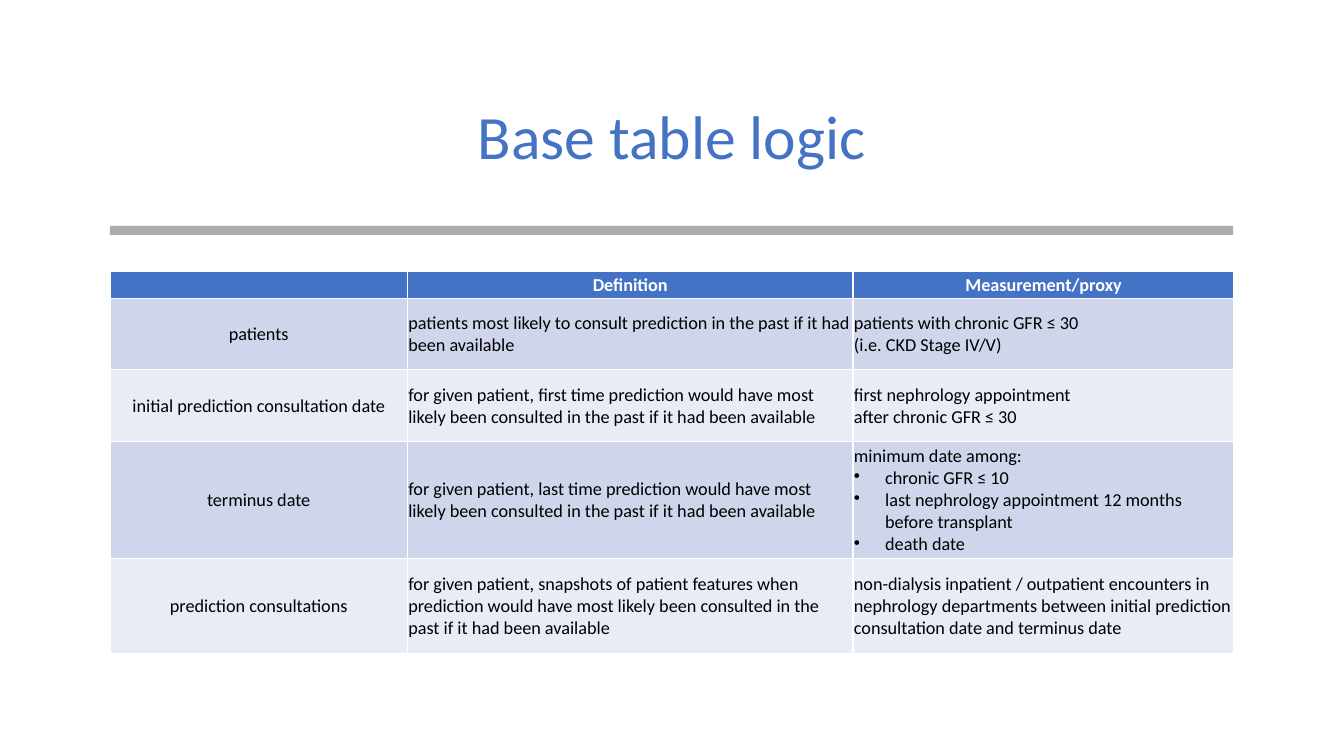
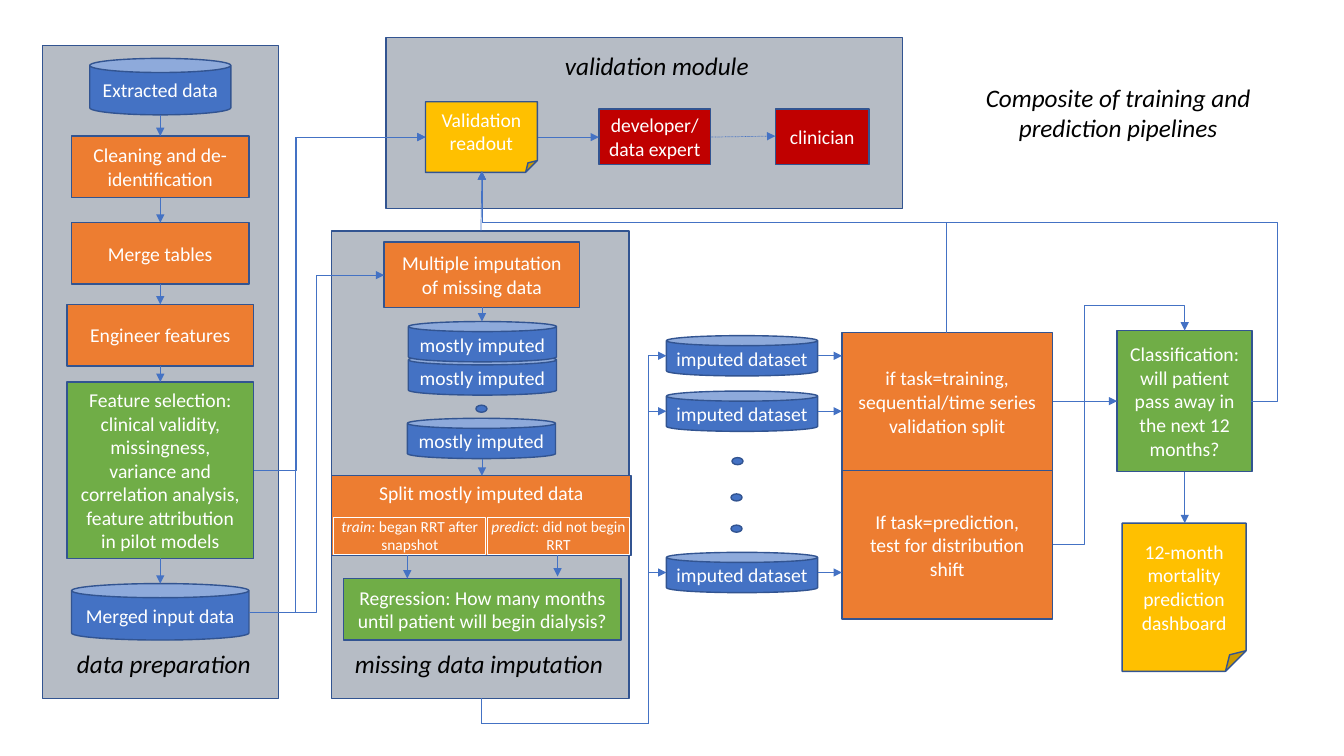
"""Build a two-slide deck on the base table and the pipelines of a dialysis model."""
from dataclasses import dataclass
from itertools import pairwise

from lxml import etree
from pptx import Presentation
from pptx import util as u
from pptx.dml import color
from pptx.enum import dml, shapes, text
from pptx.oxml import ns

SHAPE = shapes.MSO_SHAPE
CENTER, LEFT = text.PP_ALIGN.CENTER, text.PP_ALIGN.LEFT
TOP, MIDDLE = text.MSO_ANCHOR.TOP, text.MSO_ANCHOR.MIDDLE


@dataclass(frozen=True)
class Theme:
    font: str = "Calibri"
    blue: str = "4472C4"
    edge: str = "325491"
    orange: str = "ED7D31"
    green: str = "70AD47"
    gold: str = "FFC000"
    red: str = "C00000"
    slate: str = "44546A"
    gray: str = "808080"
    white: str = "FFFFFF"
    black: str = "000000"
    bands: tuple = ("CFD5EA", "E9EBF5")
    title: int = 44
    label: int = 18
    node: int = 14
    cell: int = 13
    small: int = 11


def rgb(value):
    return color.RGBColor.from_string(value)


def sub(parent, tag, **attrs):
    return etree.SubElement(parent, ns.qn(tag), attrs)


class Deck:
    def __init__(self, theme):
        self.t = theme
        self.prs = Presentation()
        self.prs.slide_width, self.prs.slide_height = u.Inches(13.33), u.Inches(7.5)
        self.s = None

    def style(self, tf, size, ink, align=CENTER, anchor=MIDDLE, bold=False, italic=None):
        tf.word_wrap = True
        tf.vertical_anchor = anchor
        for p in tf.paragraphs:
            p.alignment = align
            for font in (p.font, *(r.font for r in p.runs)):
                font.name, font.size, font.bold = self.t.font, u.Pt(size), bold
                font.color.rgb = rgb(ink)
                if italic is not None:
                    font.italic = italic
            if not p.runs:
                p._p.get_or_add_endParaRPr().set("sz", str(size * 100))

    def slide(self, title, at, size, ink, italic=False):
        self.s = self.prs.slides.add_slide(self.prs.slide_layouts[5])
        sp = self.s.shapes.title
        sp.left, sp.top, sp.width, sp.height = map(u.Inches, at)
        tf = sp.text_frame
        tf.text = title
        tf.auto_size = text.MSO_AUTO_SIZE.NONE
        self.style(tf, size, ink, italic=italic)
        return tf.paragraphs[0]

    def shape(self, kind, at, fill=None, line=None, width=1, alpha=None):
        sp = self.s.shapes.add_shape(kind, *map(u.Inches, at))
        sp.shadow.inherit = False
        if fill:
            sp.fill.solid()
            sp.fill.fore_color.rgb = rgb(fill)
        else:
            sp.fill.background()
        if line:
            sp.line.color.rgb = rgb(line)
            sp.line.width = u.Pt(width)
        else:
            sp.line.fill.background()
        if alpha:
            clr = sp._element.spPr.xpath("./a:solidFill/a:srgbClr")[0]
            sub(clr, "a:alpha", val=str(alpha * 1000))
        return sp

    def panel(self, at):
        self.shape(SHAPE.RECTANGLE, at, self.t.slate, self.t.edge, alpha=39)

    def node(self, words, at, fill, kind=SHAPE.RECTANGLE, anchor=MIDDLE):
        sp = self.shape(kind, at, fill, self.t.edge)
        sp.text_frame.text = words
        self.style(sp.text_frame, self.t.node, self.t.white, anchor=anchor)

    def can(self, words, at):
        self.node(words, at, self.t.blue, SHAPE.CAN)

    def dot(self, x, y):
        self.shape(SHAPE.OVAL, (x, y, 0.11, 0.07), self.t.blue, self.t.edge)

    def branch(self, term, rest, at):
        tf = self.shape(SHAPE.RECTANGLE, at, line=self.t.white, width=0.75).text_frame
        tf.margin_left = tf.margin_right = tf.margin_top = tf.margin_bottom = 0
        p = tf.paragraphs[0]
        for part, italic in ((term, True), (rest, False)):
            r = p.add_run()
            r.text, r.font.italic = part, italic
        self.style(tf, self.t.small, self.t.white, anchor=TOP)

    def label(self, words, at):
        tf = self.s.shapes.add_textbox(*map(u.Inches, at)).text_frame
        tf.text = words
        self.style(tf, self.t.label, self.t.black, anchor=TOP, italic=True)

    def arrow(self, start, end, kind=shapes.MSO_CONNECTOR.STRAIGHT, dash=None):
        c = self.s.shapes.add_connector(kind, *map(u.Inches, (*start, *end)))
        c.line.color.rgb = rgb(self.t.blue)
        c.line.width = u.Pt(0.5)
        if dash:
            c.line.dash_style = dash
        sub(c.line._get_or_add_ln(), "a:tailEnd", type="triangle")
        sub(c._element.spPr, "a:effectLst")
        return c

    def elbow(self, start, end, *bends, vertical=False):
        (x1, y1), (x2, y2) = start, end
        axes = [(x1, x2), (y1, y2)]
        if vertical:
            axes.reverse()
            cx, cy, w, h = (x1 + x2) / 2, (y1 + y2) / 2, y2 - y1, x1 - x2
            start, end = (cx - w / 2, cy - h / 2), (cx + w / 2, cy + h / 2)
        c = self.arrow(start, end, shapes.MSO_CONNECTOR.ELBOW)
        spPr = c._element.spPr
        if vertical:
            spPr.find(ns.qn("a:xfrm")).set("rot", "5400000")
        geom = spPr.find(ns.qn("a:prstGeom"))
        geom.set("prst", f"bentConnector{len(bends) + 2}")
        guides = geom.find(ns.qn("a:avLst"))
        if guides is None:
            guides = sub(geom, "a:avLst")
        for i, (bend, (a, b)) in enumerate(zip(bends, axes), 1):
            share = round((bend - a) / (b - a) * 100000)
            sub(guides, "a:gd", name=f"adj{i}", fmla=f"val {share}")

    def table(self, at, widths, heights, rows):
        frame = self.s.shapes.add_table(len(rows), len(widths), *map(u.Inches, at))
        tbl = frame.table
        for col, w in zip(tbl.columns, widths):
            col.width = u.Inches(w)
        for i, (row, h, words) in enumerate(zip(tbl.rows, heights, rows)):
            row.height = u.Inches(h)
            head = i == 0
            for j, cell in enumerate(row.cells):
                cell.fill.solid()
                cell.fill.fore_color.rgb = rgb(self.t.blue if head else self.t.bands[(i - 1) % 2])
                cell.margin_left = cell.margin_right = cell.margin_top = u.Inches(0.01)
                cell.margin_bottom = 0
                cell.vertical_anchor = MIDDLE
                self.fill_cell(cell.text_frame, words[j], head, CENTER if head or j == 0 else LEFT)

    def fill_cell(self, tf, words, head, align):
        lines = words.split("\n")
        tf.text = "\n".join(line.removeprefix("• ") for line in lines)
        ink = self.t.white if head else self.t.black
        self.style(tf, self.t.cell, ink, align, None, bold=head)
        for p, line in zip(tf.paragraphs, lines):
            if line.startswith("• "):
                pPr = p._p.get_or_add_pPr()
                indent = u.Inches(0.31)
                pPr.set("marL", str(indent))
                pPr.set("indent", str(-indent))
                bullet = etree.Element(ns.qn("a:buChar"), {"char": "•"})
                pPr.insert(0, bullet)


def base_table(d):
    t = d.t
    p = d.slide("Base table logic", (0.95, 0.66, 11.43, 1.45), t.title, t.blue)
    p.line_spacing = 0.9
    d.shape(SHAPE.RECTANGLE, (1.09, 2.24, 11.14, 0.09), t.gray, alpha=65)
    d.table((1.09, 2.69, 11.14, 3.79), (2.95, 4.42, 3.78), (0.27, 0.71, 0.71, 1.16, 0.94), [
        ("", "Definition", "Measurement/proxy"),
        ("patients",
         "patients most likely to consult prediction in the past if it had been available",
         "patients with chronic GFR ≤ 30\n(i.e. CKD Stage IV/V)"),
        ("initial prediction consultation date",
         "for given patient, first time prediction would have most likely been consulted "
         "in the past if it had been available",
         "first nephrology appointment\nafter chronic GFR ≤ 30"),
        ("terminus date",
         "for given patient, last time prediction would have most likely been consulted "
         "in the past if it had been available",
         "minimum date among:\n• chronic GFR ≤ 10\n"
         "• last nephrology appointment 12 months before transplant\n• death date"),
        ("prediction consultations",
         "for given patient, snapshots of patient features when prediction would have "
         "most likely been consulted in the past if it had been available",
         "non-dialysis inpatient / outpatient encounters in nephrology departments "
         "between initial prediction consultation date and terminus date"),
    ])


def preparation(d):
    t = d.t
    steps = [
        ("Extracted data", 0.58, 0.56, 1.4, t.blue, SHAPE.CAN),
        ("Cleaning and de-identification", 1.35, 0.61, 1.76, t.orange, SHAPE.RECTANGLE),
        ("Merge tables", 2.21, 0.61, 1.76, t.orange, SHAPE.RECTANGLE),
        ("Engineer features", 3.02, 0.61, 1.85, t.orange, SHAPE.RECTANGLE),
        ("Feature selection:\nclinical validity, missingness, variance and correlation "
         "analysis,\nfeature attribution in pilot models",
         3.79, 1.75, 1.85, t.green, SHAPE.RECTANGLE),
        ("Merged input data", 5.79, 0.56, 1.76, t.blue, SHAPE.CAN),
    ]
    axis = 1.59
    for words, y, h, w, fill, kind in steps:
        d.node(words, (axis - w / 2, y, w, h), fill, kind)
    for (_, y, h, *_), (_, below, *_) in pairwise(steps):
        d.arrow((axis, y + h), (axis, below))
    d.label("data preparation", (0.63, 6.38, 1.99, 0.4))


def imputation(d):
    t = d.t
    d.node("Multiple imputation of missing data", (3.81, 2.4, 1.94, 0.65), t.orange)
    for x, y in ((4.04, 4.15), (4.05, 3.52), (4.05, 3.19)):
        d.can("mostly imputed", (x, y, 1.47, 0.4))
    d.dot(4.72, 4.02)
    d.node("Split mostly imputed data", (3.29, 4.72, 2.97, 0.79), t.orange, anchor=TOP)
    d.branch("predict", ": did not begin RRT", (4.84, 5.13, 1.4, 0.37))
    d.branch("train", ": began RRT after snapshot", (3.31, 5.13, 1.51, 0.37))
    d.node("Regression: How many months until patient will begin dialysis?",
           (3.41, 5.74, 2.75, 0.61), t.green)
    for x, top, bottom in ((4.78, 3.05, 3.19), (4.78, 4.55, 4.72),
                           (4.04, 5.51, 5.74), (5.53, 5.51, 5.72)):
        d.arrow((x, top), (x, bottom))
    d.label("missing data imputation", (3.39, 6.38, 2.72, 0.4))


def validation(d):
    t = d.t
    d.label("validation module", (5.5, 0.45, 2.03, 0.4))
    d.node("Validation readout", (4.22, 1.01, 1.11, 0.7), t.gold, SHAPE.FOLDED_CORNER)
    d.node("developer/data expert", (5.94, 1.08, 1.11, 0.55), t.red)
    d.node("clinician", (7.69, 1.08, 0.93, 0.55), t.red)
    d.arrow((5.34, 1.36), (5.94, 1.36))
    d.arrow((7.05, 1.36), (7.69, 1.35), dash=dml.MSO_LINE.ROUND_DOT)


def prediction(d):
    t = d.t
    for x, y in ((7.26, 4.54), (7.25, 4.9), (7.25, 5.21)):
        d.dot(x, y)
    d.node("if task=training,\nsequential/time series validation split",
           (8.35, 3.3, 2.09, 1.37), t.orange)
    d.node("If task=prediction,\ntest for distribution shift", (8.35, 4.67, 2.09, 1.47), t.orange)
    d.node("Classification: will patient pass away in the next 12 months?",
           (11.08, 3.28, 1.34, 1.4), t.green)
    d.node("12-month mortality prediction dashboard", (11.13, 5.19, 1.23, 1.47),
           t.gold, SHAPE.FOLDED_CORNER)
    for y in (3.53, 4.08, 5.68):
        d.can("imputed dataset", (6.61, y - 0.2, 1.5, 0.4))
        d.arrow((8.11, y), (8.35, y))
        d.elbow((4.77, 6.93), (6.61, y), 7.18, 6.43, vertical=True)
    d.arrow((10.44, 3.98), (11.08, 3.98))
    d.arrow((11.75, 4.68), (11.75, 5.19))
    d.elbow((10.44, 5.4), (11.75, 3.28), 10.76, 3.03)


def pipelines(d):
    d.slide("Composite of training and prediction pipelines", (9.22, 0.76, 3.74, 0.71),
            d.t.label, d.t.black, italic=True)
    for at in ((3.29, 2.29, 2.95, 4.64), (3.83, 0.37, 5.12, 1.7), (0.42, 0.45, 2.34, 6.48)):
        d.panel(at)
    for part in (preparation, imputation, validation, prediction):
        part(d)
    readout_side, readout_base = (4.22, 1.36), (4.78, 1.7)
    d.elbow((2.47, 6.08), (3.81, 2.73), 3.14)
    d.elbow((2.47, 6.08), readout_side, 2.93)
    d.elbow((2.52, 4.67), readout_side, 2.94)
    d.arrow((4.77, 2.29), readout_base)
    d.elbow((9.39, 3.3), readout_base, 2.21, vertical=True)
    d.elbow((12.41, 3.98), readout_base, 12.67, 2.21)


def main():
    d = Deck(Theme())
    base_table(d)
    pipelines(d)
    d.prs.save("out.pptx")


if __name__ == "__main__":
    main()
